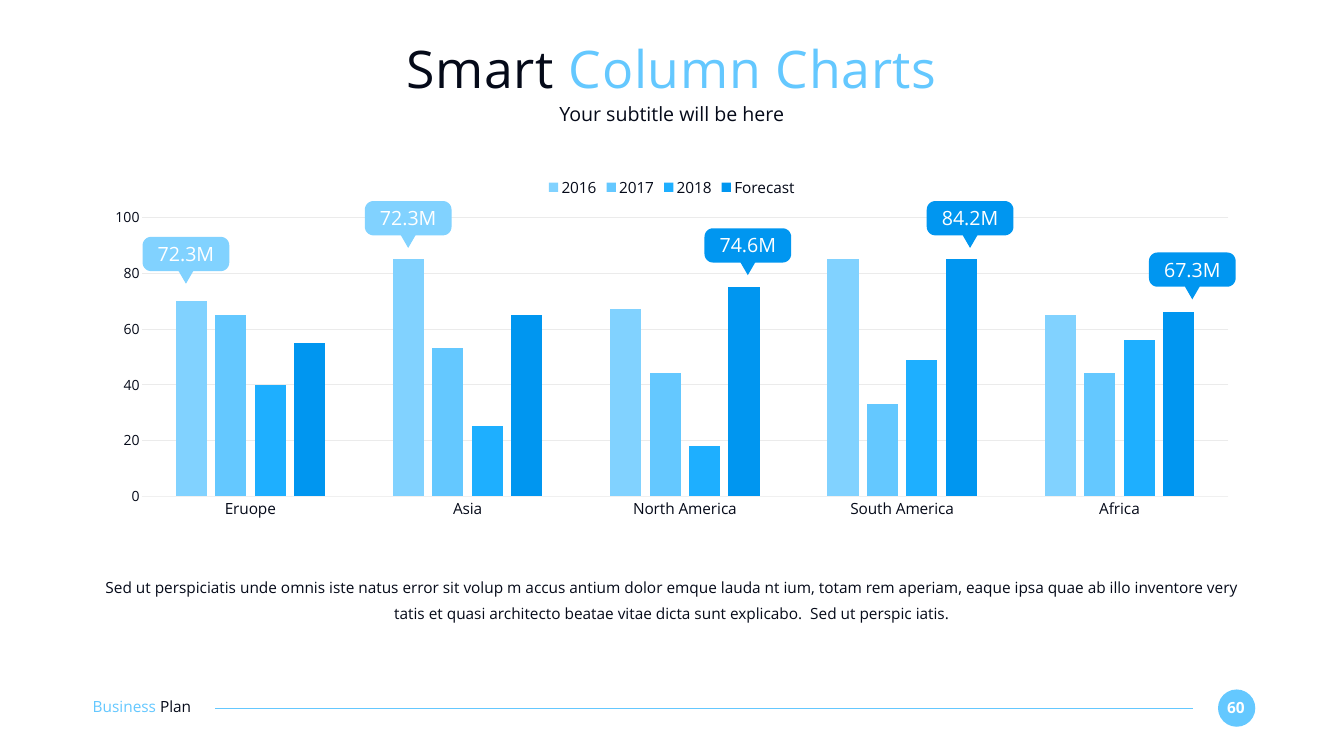
from math import cos, pi, sin

from lxml.etree import SubElement
from pptx import Presentation
from pptx.chart.data import CategoryChartData
from pptx.dml.color import RGBColor
from pptx.enum.chart import XL_CHART_TYPE as ChartType
from pptx.enum.chart import XL_LEGEND_POSITION as LegendPosition
from pptx.enum.chart import XL_TICK_MARK as TickMark
from pptx.enum.shapes import MSO_CONNECTOR as Connector
from pptx.enum.shapes import MSO_SHAPE as Shape
from pptx.enum.text import PP_ALIGN as Align
from pptx.oxml.ns import qn
from pptx.util import Inches, Pt

FONT = "Open Sans"
INK, SKY, WHITE = "050A19", "64C8FF", "FFFFFF"
PALE, STRONG = "81D2FF", "0096F0"
MARGIN, CONTENT_WIDTH = 1.83, 23


def color(value):
    return RGBColor.from_string(value)


def add_text(runs, left, top, width, height, size, align=Align.CENTER,
             bold=False, tracking=None, line_spacing=None):
    """Add a one-paragraph text box; runs is a list of (text, colour)."""
    box = slide.shapes.add_textbox(Inches(left), Inches(top), Inches(width), Inches(height))
    frame = box.text_frame
    frame.word_wrap = True
    frame.margin_left = frame.margin_right = frame.margin_top = frame.margin_bottom = 0
    paragraph = frame.paragraphs[0]
    paragraph.alignment = align
    if line_spacing:
        paragraph.line_spacing = line_spacing
    for text, run_color in runs:
        run = paragraph.add_run()
        run.text = text
        run.font.name = FONT
        run.font.size = Pt(size)
        run.font.bold = bold
        run.font.color.rgb = color(run_color)
        if tracking:
            run.font._element.set("spc", str(tracking * 100))


presentation = Presentation()
presentation.slide_width = Inches(26.67)
presentation.slide_height = Inches(15)
slide = presentation.slides.add_slide(presentation.slide_layouts[6])

# Footer: page badge, rule and deck name
badge = slide.shapes.add_shape(Shape.OVAL, Inches(24.17), Inches(13.68), Inches(0.74), Inches(0.74))
badge.shadow.inherit = False
badge.fill.solid()
badge.fill.fore_color.rgb = color(SKY)
badge.line.fill.background()
add_text([("60", WHITE)], 24.23, 13.85, 0.59, 0.37, 22, bold=True)

rule = slide.shapes.add_connector(
    Connector.STRAIGHT, Inches(23.67), Inches(14.05), Inches(4.27), Inches(14.05))
rule.line.color.rgb = color(SKY)
rule.line.width = Pt(1.5)
SubElement(rule._element.spPr, qn("a:effectLst"))
add_text([("Business ", SKY), ("Plan", INK)], 1.84, 13.84, 2.59, 0.37, 22, align=Align.LEFT)

# Title and subtitle
add_text([("Smart ", INK), ("Column Charts", SKY)],
         MARGIN, 0.73, CONTENT_WIDTH, 1.27, 74, tracking=1)
add_text([("Your subtitle will be here", INK)], MARGIN, 2.03, CONTENT_WIDTH, 0.49, 28)

# Column chart
series_data = [
    ("2016", PALE, (70, 85, 67, 85, 65)),
    ("2017", SKY, (65, 53, 44, 33, 44)),
    ("2018", "1EAFFF", (40, 25, 18, 49, 56)),
    ("Forecast", STRONG, (55, 65, 75, 85, 66)),
]
chart_data = CategoryChartData()
chart_data.categories = ["Eruope", "Asia", "North America", "South America", "Africa"]
for name, _, values in series_data:
    chart_data.add_series(name, values)
chart = slide.shapes.add_chart(
    ChartType.COLUMN_CLUSTERED, Inches(MARGIN), Inches(3.38),
    Inches(CONTENT_WIDTH), Inches(7.05), chart_data).chart
chart.has_title = False
chart.has_legend = True
chart.legend.position = LegendPosition.TOP
chart.legend.include_in_layout = False

plot = chart.plots[0]
plot.gap_width = 219
plot.overlap = -27
plot.vary_by_categories = False
for series, (_, fill, _) in zip(plot.series, series_data):
    series.format.fill.solid()
    series.format.fill.fore_color.rgb = color(fill)

category_axis, value_axis = chart.category_axis, chart.value_axis
for axis in (category_axis, value_axis):
    axis.major_tick_mark = axis.minor_tick_mark = TickMark.NONE
category_axis.format.line.color.rgb = color("F0F0F0")
category_axis.format.line.width = Pt(0.75)
value_axis.format.line.fill.background()
value_axis.minimum_scale = 0
value_axis.maximum_scale = 100
value_axis.major_unit = 20
value_axis.has_major_gridlines = True
gridline = value_axis.major_gridlines.format.line
gridline.color.rgb = color("EBEBEB")
gridline.width = Pt(1)

for font, size in ((chart.font, 22), (chart.legend.font, 22),
                   (category_axis.tick_labels.font, 22), (value_axis.tick_labels.font, 20)):
    font.name = FONT
    font.size = Pt(size)
    font.color.rgb = color(INK)

# Description
add_text([("Sed ut perspiciatis unde omnis iste natus error sit volup m accus antium dolor "
           "emque lauda nt ium, totam rem aperiam, eaque ipsa quae ab illo inventore very "
           "tatis et quasi architecto beatae vitae dicta sunt explicabo.  Sed ut perspic iatis.",
           INK)], MARGIN, 11.33, CONTENT_WIDTH, 0.99, 22, line_spacing=1.4)

# Callout outline: rounded body with a centred pointer below
WIDTH, BODY, HEIGHT, RADIUS, POINTER = 1.72, 0.68, 0.93, 0.17, 0.145
STEPS = 8
corners = [(WIDTH - RADIUS, RADIUS, -pi / 2), (WIDTH - RADIUS, BODY - RADIUS, 0),
           (RADIUS, BODY - RADIUS, pi / 2), (RADIUS, RADIUS, pi)]
outline = []
for index, (center_x, center_y, start) in enumerate(corners):
    for step in range(STEPS + 1):
        angle = start + step * pi / 2 / STEPS
        outline.append((center_x + RADIUS * cos(angle), center_y + RADIUS * sin(angle)))
    if index == 1:
        outline += [(WIDTH / 2 + POINTER, BODY), (WIDTH / 2, HEIGHT), (WIDTH / 2 - POINTER, BODY)]

# Callouts above the highlighted columns
callouts = [
    (2.83, 4.7, "72.3M", PALE),
    (7.24, 3.99, "72.3M", PALE),
    (13.98, 4.53, "74.6M", STRONG),
    (18.39, 3.99, "84.2M", STRONG),
    (22.8, 5.01, "67.3M", STRONG),
]
for left, top, label, fill in callouts:
    points = [(Inches(left + x), Inches(top + y)) for x, y in outline]
    builder = slide.shapes.build_freeform(*points[0])
    builder.add_line_segments(points[1:], close=True)
    callout = builder.convert_to_shape()
    callout.shadow.inherit = False
    callout.fill.solid()
    callout.fill.fore_color.rgb = color(fill)
    callout.line.fill.background()
    add_text([(label, WHITE)], left + 0.14, top + 0.1, 1.44, 0.47, 28)

presentation.save("out.pptx")
